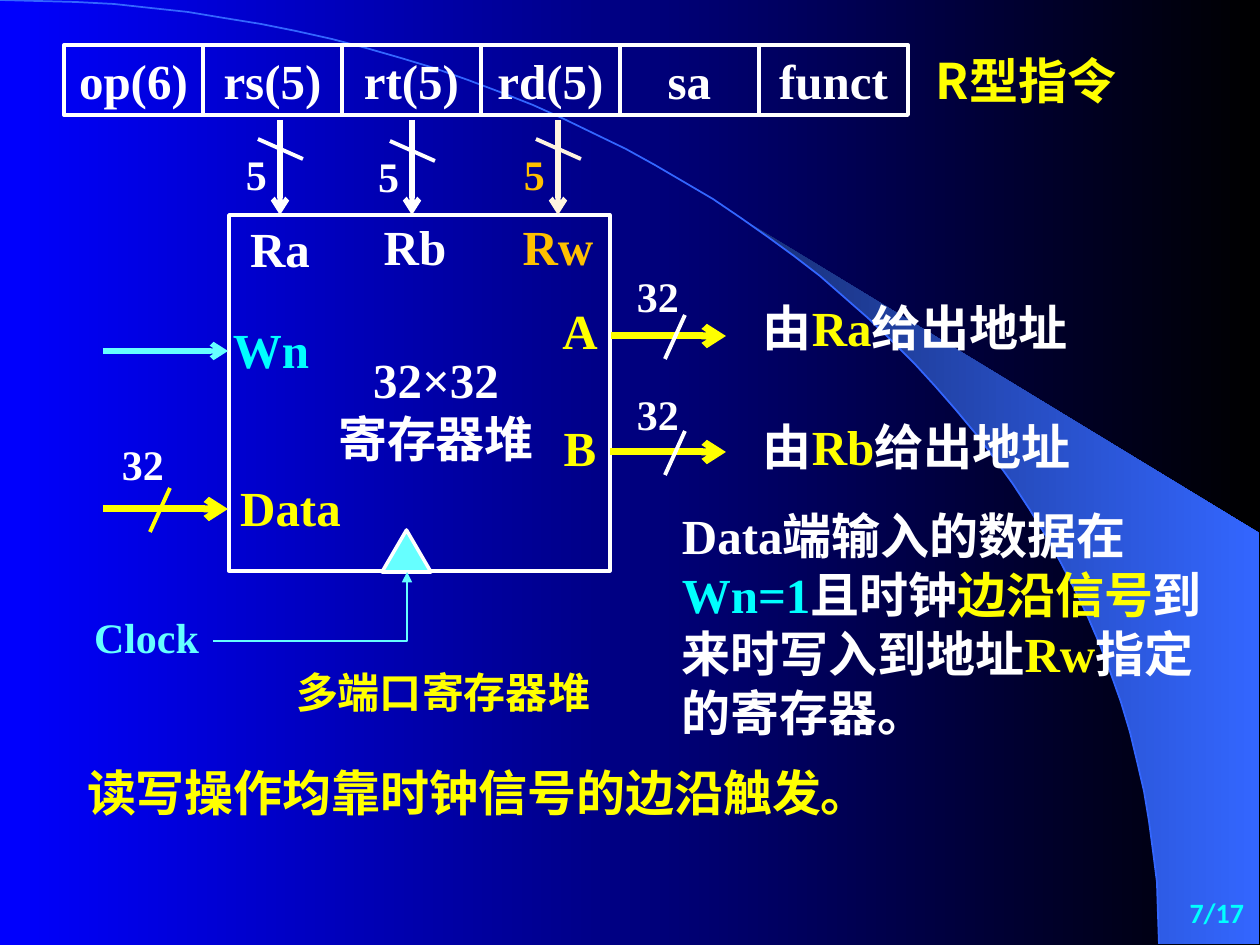
"""Build the slide on the multi-port register file and its R-type instruction."""
import pptx
import pptx.dml.color
import pptx.enum.shapes
import pptx.enum.text
import pptx.oxml
import pptx.oxml.ns
import pptx.util
from lxml import etree

PX = pptx.util.Inches(1) // 126
SERIF, SANS = "Times New Roman", "Noto Sans CJK SC"
COLOURS = {
    name: pptx.dml.color.RGBColor.from_string(value)
    for name, value in {
        "white": "FFFFFF", "yellow": "FFFF00", "cyan": "00FFFF", "aqua": "66FFFF",
        "orange": "FFC000", "cream": "FFF5E0", "blue": "0000FF", "black": "000000",
        "navy": "182F76", "azure": "3366FF",
    }.items()
}
SHAPES = pptx.enum.shapes.MSO_SHAPE
CONNECTORS = pptx.enum.shapes.MSO_CONNECTOR
ALIGN = pptx.enum.text.PP_ALIGN
qn = pptx.oxml.ns.qn


def write(shape, lines, size, colour, align="CENTER", inset=0, font=SERIF):
    frame = shape.text_frame
    frame.word_wrap = True
    frame.margin_left = frame.margin_right = inset * PX
    frame.margin_top = frame.margin_bottom = (6 if inset else 0) * PX
    for index, line in enumerate(lines):
        paragraph = frame.add_paragraph() if index else frame.paragraphs[0]
        paragraph.alignment = getattr(ALIGN, align)
        paragraph.line_spacing = pptx.util.Pt(round(size * 1.2, 1))
        paragraph.font.size = pptx.util.Pt(size)
        paragraph.font.bold = True
        paragraph.font.color.rgb = COLOURS[colour]
        paragraph.font.name = font
        defaults = paragraph._p.pPr.find(qn("a:defRPr"))
        etree.SubElement(defaults, qn("a:ea"), typeface=SANS)
        for words, accent in [(line, None)] if isinstance(line, str) else line:
            run = paragraph.add_run()
            run.text = words
            if accent:
                run.font.color.rgb = COLOURS[accent]


def connect(start, end, colour, width, arrow=None, kind=CONNECTORS.STRAIGHT):
    wire = slide.shapes.add_connector(kind, *(PX * v for v in start + end))
    wire.line.color.rgb = COLOURS[colour]
    wire.line.width = pptx.util.Pt(width)
    if arrow:
        etree.SubElement(wire.line._get_or_add_ln(), qn("a:tailEnd"), type=arrow)
    etree.SubElement(wire._element.spPr, qn("a:effectLst"))
    return wire


deck = pptx.Presentation()
deck.slide_width, deck.slide_height = 1260 * PX, 945 * PX
slide = deck.slides.add_slide(deck.slide_layouts[6])

arc = []
for step in range(51):
    t = step / 50
    weights = ((1 - t) ** 3, 3 * t * (1 - t) ** 2, 3 * t * t * (1 - t), t ** 3)
    arc.append(tuple(
        round(sum(w * v for w, v in zip(weights, controls)))
        for controls in ((0, 640, 1159, 1159), (0, 0, 422, 944))
    ))

crescent_points = arc[22:] + [(1259, 944), (1259, 533)]
outline = slide.shapes.build_freeform(*crescent_points[0], scale=PX)
outline.add_line_segments(crescent_points[1:], close=True)
crescent = outline.convert_to_shape()
crescent.line.fill.background()
crescent.shadow.inherit = False

outline = slide.shapes.build_freeform(*arc[0], scale=PX)
outline.add_line_segments(arc[1:], close=False)
rim = outline.convert_to_shape()
rim.fill.background()
rim.line.color.rgb = COLOURS["azure"]
rim.line.width = pptx.util.Pt(1)
rim.shadow.inherit = False

for fill, names in ((slide.background.fill, ("blue", "black")), (crescent.fill, ("navy", "azure"))):
    fill.gradient()
    fill.gradient_angle = 0
    for stop, name, position in zip(fill.gradient_stops, names, (0, 1)):
        stop.color.rgb = COLOURS[name]
        stop.position = position

register_file = slide.shapes.add_shape(SHAPES.RECTANGLE, 229 * PX, 215 * PX, 381 * PX, 356 * PX)
clock_notch = slide.shapes.add_shape(SHAPES.FLOWCHART_MERGE, 382 * PX, 530 * PX, 49 * PX, 42 * PX)
clock_notch.rotation = 180
register_file.fill.background()
clock_notch.fill.solid()
clock_notch.fill.fore_color.rgb = COLOURS["aqua"]
for part in (register_file, clock_notch):
    part.line.color.rgb = COLOURS["white"]
    part.line.width = pptx.util.Pt(2)
    part.shadow.inherit = False

for index, field_name in enumerate(("op(6)", "rs(5)", "rt(5)", "rd(5)", "sa", "funct")):
    width = 149 if field_name == "funct" else 139
    field = slide.shapes.add_shape(
        SHAPES.RECTANGLE, (64 + 139 * index) * PX, 45 * PX, width * PX, 70 * PX)
    field.fill.background()
    field.line.color.rgb = COLOURS["white"]
    field.line.width = pptx.util.Pt(2.25)
    field.shadow.inherit = False
    write(field, [field_name], 28, "white")

labels = [
    ((927, 51, 198, 57), ["R型指令"], 28, "yellow", "CENTER", 0, SANS),
    ((237, 219, 86, 59), ["Ra"], 28, "white"),
    ((372, 217, 86, 59), ["Rb"], 28, "white"),
    ((515, 217, 86, 59), ["Rw"], 28, "orange"),
    ((228, 320, 86, 59), ["Wn"], 28, "cyan"),
    ((229, 478, 123, 59), ["Data"], 28, "yellow"),
    ((533, 295, 94, 73), ["A"], 28, "yellow", "CENTER", 14),
    ((533, 412, 94, 73), ["B"], 28, "yellow", "CENTER", 14),
    ((302, 344, 268, 131), ["32×32", "寄存器堆"], 28, "white", "CENTER", 14),
    ((62, 606, 151, 64), ["Clock"], 24, "aqua", "RIGHT", 14),
    ((282, 661, 488, 64), ["多端口寄存器堆"], 24, "yellow", "LEFT", 14, SANS),
    ((668, 500, 550, 248),
     [[("Data端输入的数据在", None), ("Wn=1", "cyan"), ("且时钟", None), ("边沿信号", "yellow"),
       ("到来时写入到地址", None), ("Rw", "yellow"), ("指定的寄存器。", None)]],
     28, "white", "LEFT", 14),
    ((74, 757, 1007, 72), ["读写操作均靠时钟信号的边沿触发。"], 28, "yellow", "LEFT", 13),
    ((995, 890, 262, 53), ["7/17"], 16, "cyan", "RIGHT", 13, "Calibri"),
]
for top, port in ((292, "Ra"), (411, "Rb")):
    address = [("由", None), (port, "yellow"), ("给出地址", None)]
    labels.append(((749, top, 377, 73), [address], 28, "white", "LEFT", 14))

for x, label_top, colour, label_colour in (
    (280, 149, "white", "white"), (412, 151, "white", "white"), (558, 149, "cream", "orange"),
):
    connect((x, 120), (x, 215), colour, 3, "arrow")
    connect((x + 23, label_top + 10), (x - 22, label_top - 10), colour, 2.25)
    labels.append(((x - 64, label_top, 81, 50), ["5"], 24, label_colour))

for left, right, y, slash_x, label_top, slash_colour in (
    (103, 228, 509, 170, 433, "yellow"),
    (611, 726, 336, 685, 265, "white"),
    (610, 726, 452, 685, 383, "white"),
):
    connect((left, y), (right, y), "yellow", 4, "arrow")
    connect((slash_x, y - 21), (slash_x - 20, y + 23), slash_colour, 2.25)
    labels.append(((slash_x - 78, label_top, 102, 64), ["32"], 24, "white", "CENTER", 14))

connect((103, 351), (228, 351), "aqua", 3, "arrow")
clock_wire = connect((213, 641), (407, 572), "aqua", 1.5, "triangle", CONNECTORS.ELBOW)
clock_wire._element.spPr.find(qn("a:prstGeom")).set("prst", "bentConnector2")

for box, *wording in labels:
    write(slide.shapes.add_textbox(*(PX * v for v in box)), *wording)

deck.save("out.pptx")
